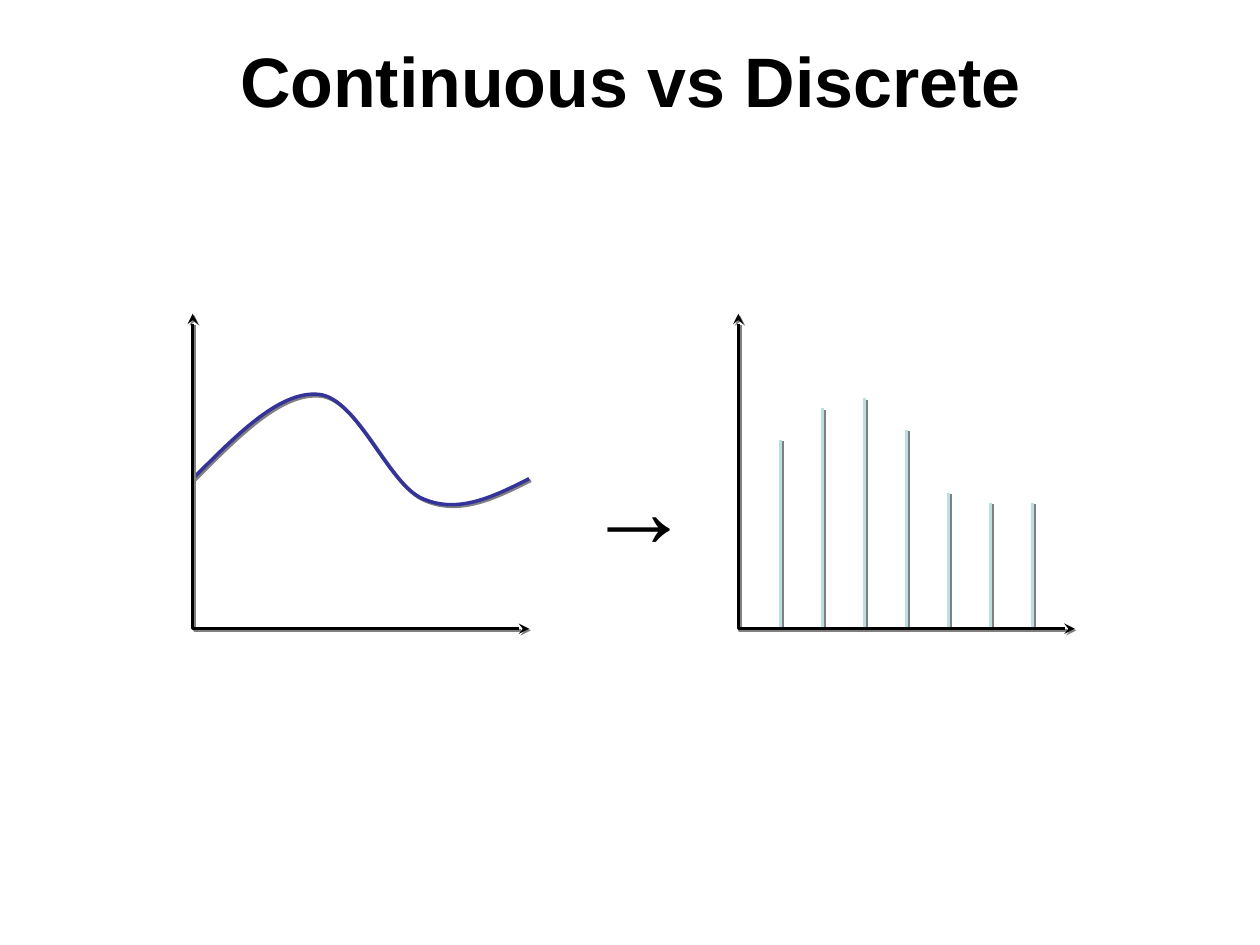
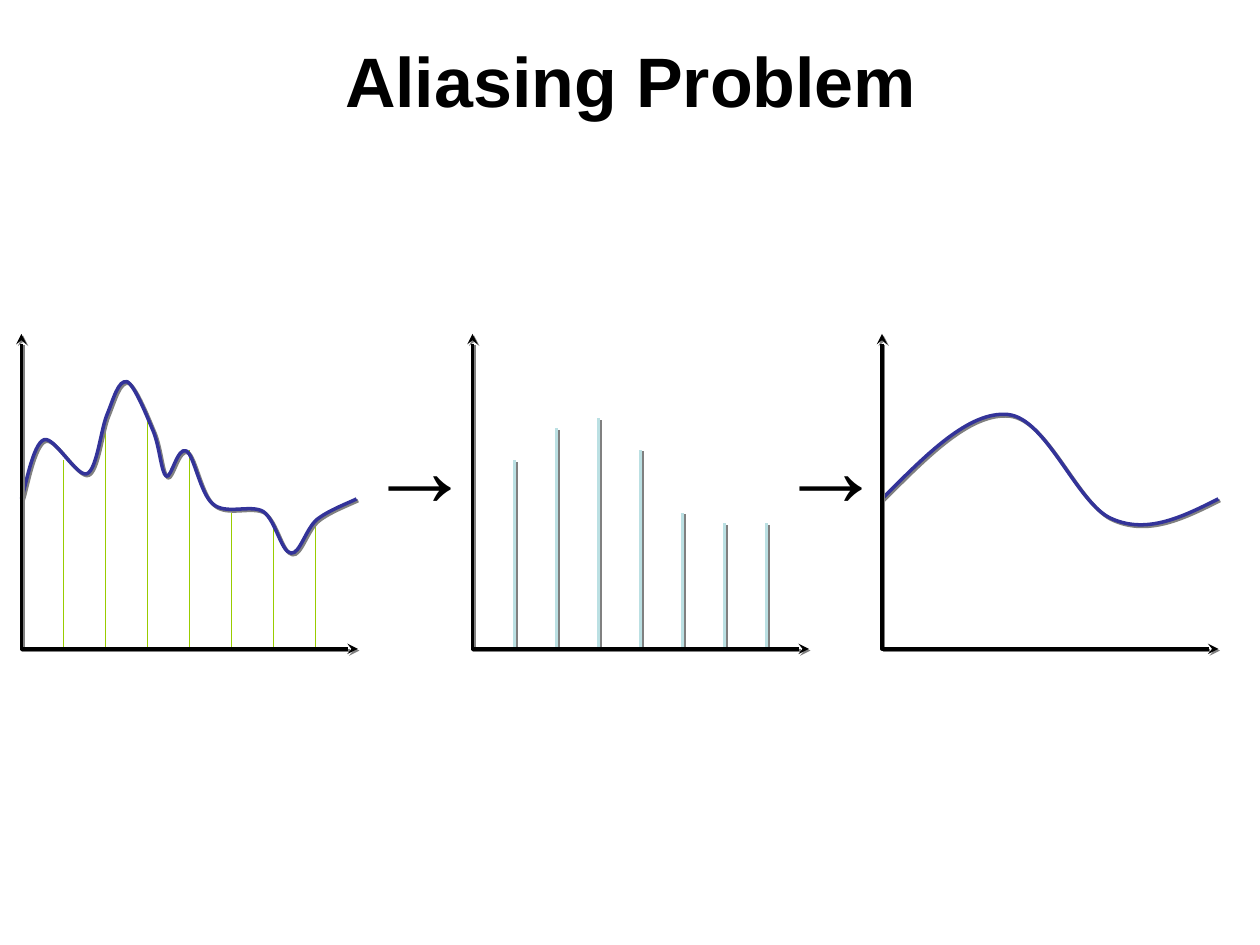
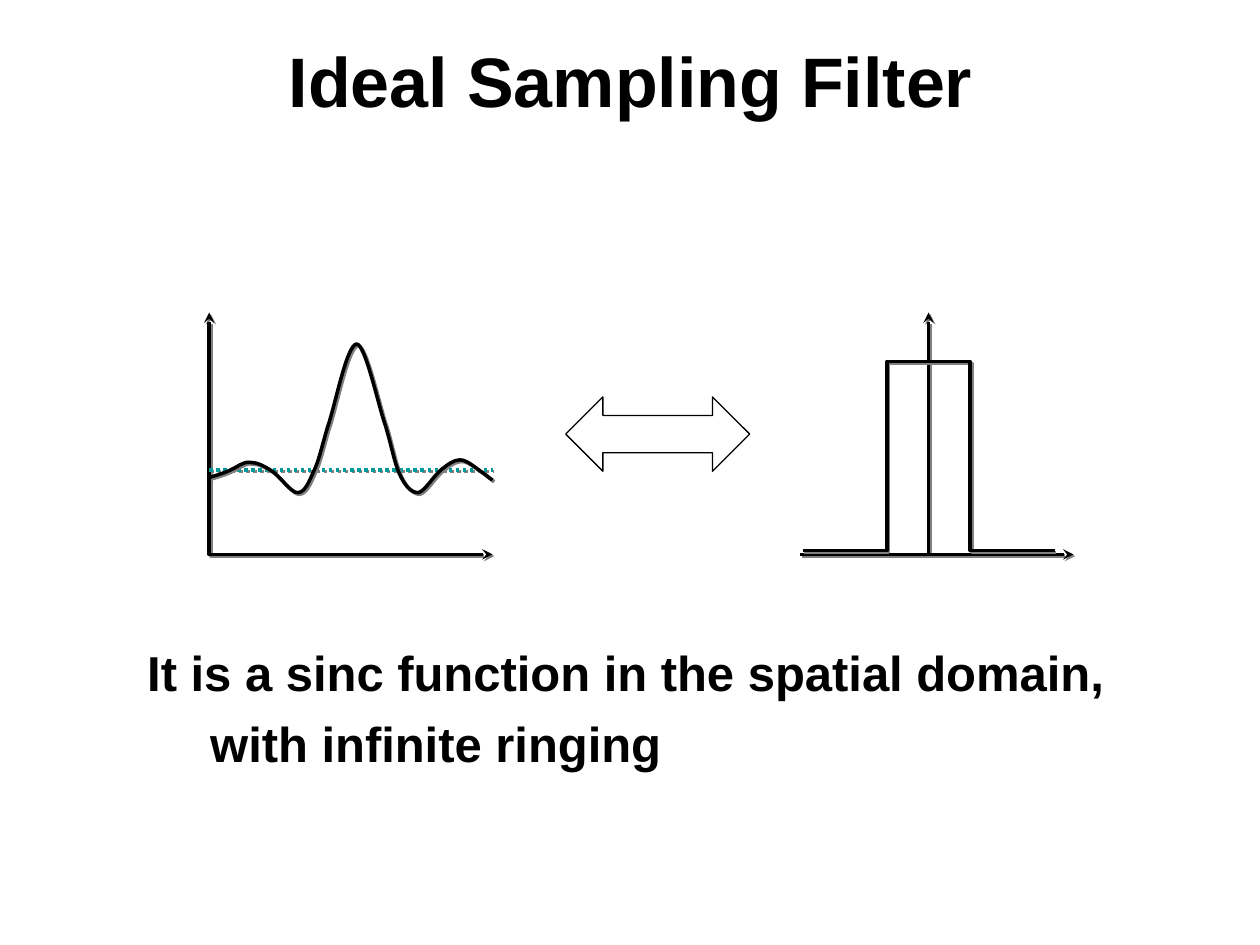
from dataclasses import dataclass

from lxml import etree
from pptx import Presentation
from pptx import util as u
from pptx.dml.color import RGBColor
from pptx.enum import dml, shapes, text
from pptx.oxml.ns import qn

Inches, Pt = u.Inches, u.Pt


@dataclass(frozen=True)
class Theme:
    font: str = "Arial"
    ink: str = "000000"
    wave: str = "333399"
    stem: str = "BBE0E3"
    grid: str = "99CC00"
    zero: str = "009999"
    shade: str = "808080"
    glow: str = "C0C0C0"
    title: int = 40
    body: int = 28
    sign: int = 60
    thick: float = 2
    thin: float = 0.75
    hair: float = 0.25


T = Theme()

# Points are (right, up) in inches from the origin of a plot.
# Curves hold a start, then two handles and an end for each piece.
SMOOTH = [
    (0, 1.19), (0.35, 1.54), (0.69, 1.89), (1, 1.86),
    (1.31, 1.83), (1.55, 1.14), (1.83, 1.03),
    (2.11, 0.91), (2.39, 1.05), (2.67, 1.19),
]
ROUGH = [
    (0, 1.19), (0.03, 1.27), (0.09, 1.63), (0.18, 1.66),
    (0.26, 1.69), (0.44, 1.36), (0.52, 1.39),
    (0.6, 1.42), (0.63, 1.74), (0.68, 1.86),
    (0.73, 1.98), (0.77, 2.14), (0.84, 2.12),
    (0.9, 2.09), (1, 1.84), (1.05, 1.72),
    (1.1, 1.59), (1.11, 1.4), (1.15, 1.37),
    (1.19, 1.35), (1.24, 1.61), (1.31, 1.57),
    (1.37, 1.54), (1.42, 1.23), (1.52, 1.15),
    (1.62, 1.06), (1.82, 1.15), (1.92, 1.09),
    (2.02, 1.02), (2.06, 0.77), (2.14, 0.76),
    (2.21, 0.75), (2.26, 0.96), (2.35, 1.03),
    (2.44, 1.1), (2.6, 1.16), (2.66, 1.19),
]
SINC = [
    (0, 0.61), (0.03, 0.62), (0.11, 0.64), (0.17, 0.67),
    (0.22, 0.69), (0.27, 0.74), (0.33, 0.73),
    (0.38, 0.73), (0.44, 0.7), (0.5, 0.66),
    (0.56, 0.62), (0.65, 0.49), (0.7, 0.49),
    (0.76, 0.49), (0.79, 0.57), (0.83, 0.66),
    (0.87, 0.74), (0.89, 0.84), (0.94, 1.01),
    (1, 1.18), (1.09, 1.66), (1.17, 1.67),
    (1.24, 1.67), (1.34, 1.19), (1.4, 1.02),
    (1.45, 0.85), (1.47, 0.73), (1.51, 0.64),
    (1.55, 0.55), (1.6, 0.49), (1.66, 0.49),
    (1.71, 0.5), (1.78, 0.62), (1.84, 0.67),
    (1.89, 0.71), (1.94, 0.75), (1.99, 0.75),
    (2.05, 0.75), (2.12, 0.68), (2.17, 0.65),
    (2.21, 0.62), (2.23, 0.6), (2.25, 0.59),
]
PULSE = [(-1, 0.03), (-0.33, 0.03), (-0.33, 1.53),
         (0.33, 1.53), (0.33, 0.03), (1, 0.03)]
STEMS = [1.5, 1.75, 1.83, 1.58, 1.08, 1, 1]
STEP = 1 / 3
WIDE, TALL = 2.67, 2.5
SMALL, LOW = 2.25, 1.92
NOTE = ["It is a sinc function in the spatial domain,",
        "\twith infinite ringing"]


def add_shade(props, color, dist):
    """Put a shadow to the lower right into an effect list."""
    shade = etree.SubElement(props, qn("a:outerShdw"), dist=str(Pt(dist)),
                             dir="2700000", algn="ctr", rotWithShape="0")
    etree.SubElement(shade, qn("a:srgbClr"), val=color)


def draw_line(shape, color, width=T.thick, ends=(), dash=None, shade=True):
    """Style an outline; ends names the arrowed ends."""
    line = shape.line
    line.color.rgb = RGBColor.from_string(color)
    line.width = Pt(width)
    if dash:
        line.dash_style = dash
    props = shape._element.spPr
    for end in ends:
        etree.SubElement(props.find(qn("a:ln")), qn(f"a:{end}End"),
                         type="stealth")
    for old in props.findall(qn("a:effectLst")):
        props.remove(old)
    effects = etree.SubElement(props, qn("a:effectLst"))
    if shade:
        add_shade(effects, T.shade, 1.4)


def write(slide, box, lines, size, bold=True, align=None, wrap=True, gap=0):
    label = slide.shapes.add_textbox(*map(Inches, box))
    frame = label.text_frame
    frame.text = "\n".join(lines)
    frame.word_wrap = wrap
    for i, para in enumerate(frame.paragraphs):
        para.alignment = align
        if i:
            para.space_before = Pt(gap)
        for run in para.runs:
            run.font.size, run.font.bold = Pt(size), bold
            run.font.color.rgb = RGBColor.from_string(T.ink)
            run.font.name = T.font
    return frame


class Plot:
    """A group of lines placed from one origin."""

    def __init__(self, slide, x, y):
        self.group = slide.shapes.add_group_shape().shapes
        self.x, self.y = x, y

    def spot(self, point):
        return Inches(self.x + point[0]), Inches(self.y - point[1])

    def line(self, start, end, color=T.ink, **style):
        link = self.group.add_connector(
            shapes.MSO_CONNECTOR.STRAIGHT, *self.spot(start), *self.spot(end))
        draw_line(link, color, **style)

    def trace(self, points, color=T.ink, curved=False, **style):
        first, *rest = map(self.spot, points)
        pen = self.group.build_freeform(*first)
        pen.add_line_segments(rest, close=False)
        shape = pen.convert_to_shape()
        shape.fill.background()
        if curved:
            bend(shape)
        draw_line(shape, color, **style)

    def stems(self, color=T.stem, **style):
        for i, height in enumerate(STEMS, 1):
            self.line((i * STEP, 0), (i * STEP, height), color, **style)

    def axes(self, width=WIDE, height=TALL):
        self.trace([(0, height), (0, 0), (width, 0)], ends=("head", "tail"))


def bend(shape):
    """Turn every three straight pieces into one cubic curve."""
    track = shape._element.find(".//" + qn("a:path"))
    legs = track.findall(qn("a:lnTo"))
    for i in range(0, len(legs), 3):
        curve = etree.SubElement(track, qn("a:cubicBezTo"))
        for leg in legs[i:i + 3]:
            curve.append(leg[0])
            track.remove(leg)


def add_title(slide, words):
    frame = write(slide, (0.17, 0.17, 9.67, 0.92), [words], T.title,
                  align=text.PP_ALIGN.CENTER)
    frame.vertical_anchor = text.MSO_ANCHOR.MIDDLE
    props = frame.paragraphs[0].runs[0].font._element
    effects = etree.Element(qn("a:effectLst"))
    add_shade(effects, T.glow, 2)
    props.find(qn("a:solidFill")).addnext(effects)


def add_sign(slide, x, y, bold):
    write(slide, (x, y, 0.93, 1.11), ["→"], T.sign, bold,
          text.PP_ALIGN.CENTER, wrap=False)


def add_wave(slide, x, y):
    plot = Plot(slide, x, y)
    plot.trace(SMOOTH, T.wave, curved=True)
    plot.axes()


def add_samples(slide, x, y):
    plot = Plot(slide, x, y)
    plot.stems()
    plot.axes()


def fill_discrete(slide):
    base = 4.99
    add_samples(slide, 5.86, base)
    add_wave(slide, 1.53, base)
    add_sign(slide, 4.56, 3.46, True)


def fill_alias(slide):
    base = 5.15
    rough = Plot(slide, 0.17, base)
    rough.stems(T.grid, width=T.hair, shade=False)
    rough.trace(ROUGH, T.wave, curved=True)
    rough.axes()
    add_samples(slide, 3.75, base)
    add_wave(slide, 7, base)
    for x in (2.82, 6.08):
        add_sign(slide, x, 3.14, False)


def fill_filter(slide):
    base = 4.4
    write(slide, (1.07, 5.05, 8.62, 1.11), NOTE, T.body, gap=7)

    pulse = Plot(slide, 7.37, base)
    pulse.line((0, 0), (0, LOW), ends=("tail",))
    pulse.line((-1.02, 0), (1.15, 0), ends=("tail",))
    pulse.trace(PULSE)

    sinc = Plot(slide, 1.66, base)
    sinc.axes(SMALL, LOW)
    sinc.line((0, 0.67), (SMALL, 0.67), T.zero,
              dash=dml.MSO_LINE.ROUND_DOT)
    sinc.trace(SINC, curved=True)

    arrow = slide.shapes.add_shape(
        shapes.MSO_SHAPE.LEFT_RIGHT_ARROW,
        *map(Inches, (4.49, 3.15, 1.46, 0.59)))
    arrow.fill.background()
    draw_line(arrow, T.ink, T.thin, shade=False)


SLIDES = [
    ("Continuous vs Discrete", fill_discrete),
    ("Aliasing Problem", fill_alias),
    ("Ideal Sampling Filter", fill_filter),
]


def main():
    deck = Presentation()
    deck.slide_width, deck.slide_height = Inches(10), Inches(7.5)
    for title, fill in SLIDES:
        slide = deck.slides.add_slide(deck.slide_layouts[6])
        add_title(slide, title)
        fill(slide)
    deck.save("out.pptx")


if __name__ == "__main__":
    main()
